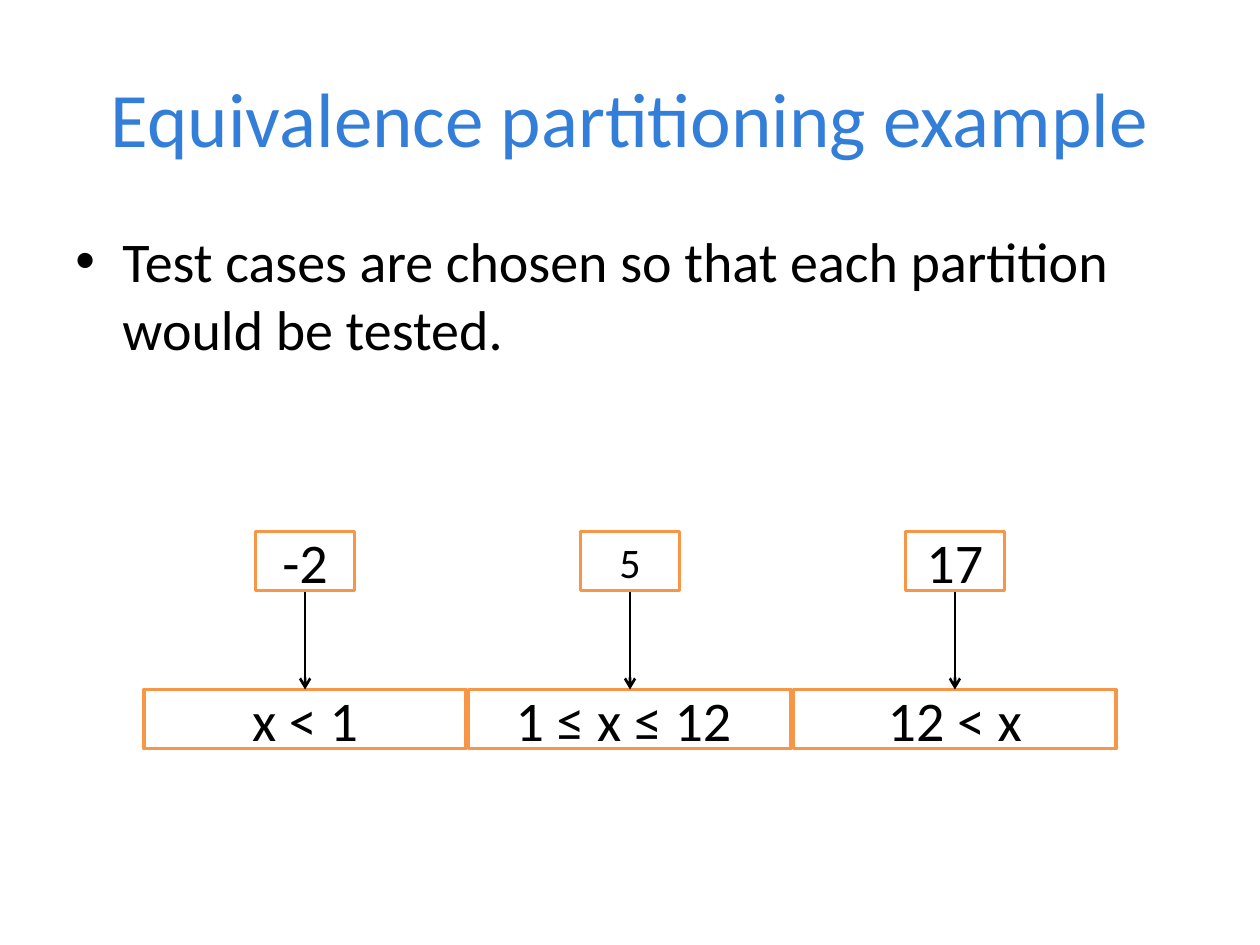
from dataclasses import dataclass

from lxml.etree import SubElement
from pptx import Presentation
from pptx.dml.color import RGBColor
from pptx.enum.shapes import MSO_CONNECTOR as Connector, MSO_SHAPE as Shape
from pptx.enum.text import MSO_ANCHOR as Anchor, PP_ALIGN as Align
from pptx.oxml.ns import qn
from pptx.util import Cm, Pt


@dataclass(frozen=True)
class Theme:
    font: str = "Calibri"
    title_color: RGBColor = RGBColor(0x33, 0x7E, 0xD9)
    ink: RGBColor = RGBColor(0, 0, 0)
    paper: RGBColor = RGBColor(0xFF, 0xFF, 0xFF)
    accent: RGBColor = RGBColor(0xF7, 0x96, 0x46)
    title_size: int = 44
    body_size: int = 32
    small_size: int = 24
    border: float = 2
    arrow: float = 1.5


@dataclass(frozen=True)
class Box:
    """A region of the slide, in centimetres."""
    left: float
    top: float
    width: float
    height: float

    @property
    def lengths(self):
        return Cm(self.left), Cm(self.top), Cm(self.width), Cm(self.height)


THEME = Theme()
# Each partition with its test value and the type size of that value
PARTITIONS = [
    ("x < 1", "-2", THEME.body_size),
    ("1 ≤ x ≤ 12 ", "5", THEME.small_size),
    ("12 < x", "17", THEME.body_size),
]


def write(holder, text, *, size=THEME.body_size, color=THEME.ink,
          align=Align.CENTER, anchor=Anchor.MIDDLE, bullet=None, indent=0):
    frame = holder.text_frame
    frame.word_wrap = True
    frame.vertical_anchor = anchor
    paragraph = frame.paragraphs[0]
    paragraph.alignment = align
    if bullet:
        properties = paragraph._p.get_or_add_pPr()
        properties.set("marL", str(Cm(indent)))
        properties.set("indent", str(-Cm(indent)))
        SubElement(properties, qn("a:buFont"), typeface="Arial")
        SubElement(properties, qn("a:buChar"), char=bullet)
    run = paragraph.add_run()
    run.text = text
    run.font.name = THEME.font
    run.font.size = Pt(size)
    run.font.color.rgb = color


def add_title(slide, box, text):
    write(slide.shapes.add_textbox(*box.lengths), text,
          size=THEME.title_size, color=THEME.title_color)


def add_body(slide, box, text):
    write(slide.shapes.add_textbox(*box.lengths), text,
          align=Align.LEFT, anchor=Anchor.TOP, bullet="•", indent=0.95)


def add_label(shapes, box, text, size=THEME.body_size):
    label = shapes.add_shape(Shape.RECTANGLE, *box.lengths)
    label.shadow.inherit = False
    label.fill.solid()
    label.fill.fore_color.rgb = THEME.paper
    label.line.color.rgb = THEME.accent
    label.line.width = Pt(THEME.border)
    write(label, text, size=size)


def add_down_arrow(shapes, x, top, bottom):
    arrow = shapes.add_connector(Connector.STRAIGHT, Cm(x), Cm(top), Cm(x), Cm(bottom))
    arrow.line.color.rgb = THEME.ink
    arrow.line.width = Pt(THEME.arrow)
    SubElement(arrow.line._get_or_add_ln(), qn("a:tailEnd"), type="arrow")
    SubElement(arrow._element.spPr, qn("a:effectLst"))


def add_partition_diagram(slide, box, partitions):
    """Place a row of partitions with a test value pointing at each."""
    shapes = slide.shapes.add_group_shape().shapes
    label_height, value_width, gap = 1.19, 2, 0.05
    count = len(partitions)
    width = (box.width - gap * (count - 1)) / count
    row_top = box.top + box.height - label_height
    for index, (condition, value, value_size) in enumerate(partitions):
        left = box.left + index * (width + gap)
        center = left + width / 2
        add_label(shapes, Box(left, row_top, width, label_height), condition)
        add_down_arrow(shapes, center, box.top + label_height, row_top)
        add_label(shapes, Box(center - value_width / 2, box.top, value_width, label_height),
                  value, value_size)


def main():
    deck = Presentation()
    deck.slide_width, deck.slide_height = Cm(25.4), Cm(19.05)
    slide = deck.slides.add_slide(deck.slide_layouts[6])
    add_title(slide, Box(1.27, 0.76, 22.86, 3.18), "Equivalence partitioning example")
    add_body(slide, Box(1.27, 4.45, 22.86, 12.57),
             "Test cases are chosen so that each partition would be tested.")
    add_partition_diagram(slide, Box(2.9, 10.72, 19.6, 4.37), PARTITIONS)
    deck.save("out.pptx")


if __name__ == "__main__":
    main()
